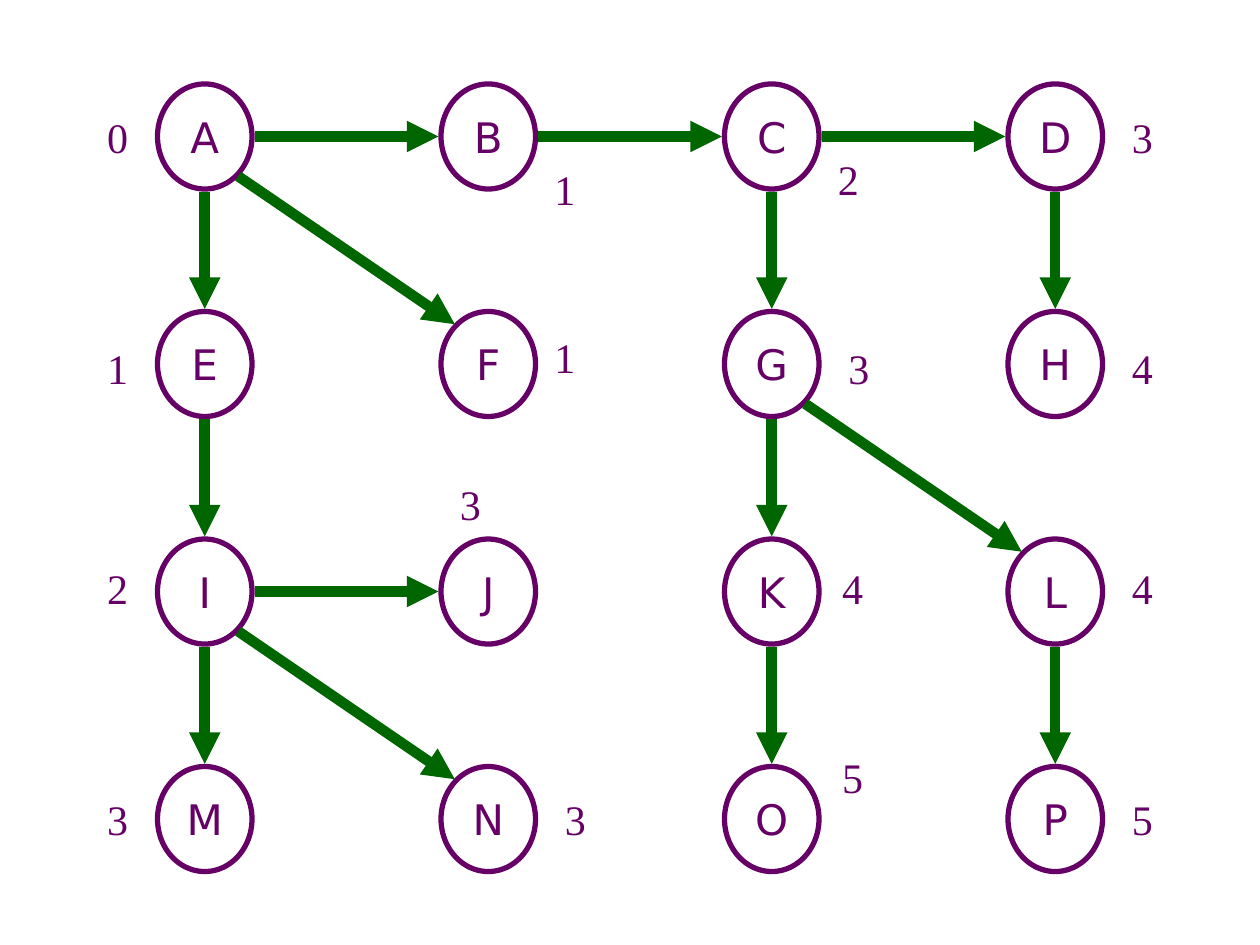
from dataclasses import dataclass
from math import sqrt

from lxml.etree import SubElement
from pptx import Presentation
from pptx.dml.color import RGBColor
from pptx.enum.shapes import MSO_CONNECTOR as CONNECTOR, MSO_SHAPE as SHAPE
from pptx.enum.text import MSO_ANCHOR as ANCHOR, MSO_AUTO_SIZE as AUTO_SIZE, PP_ALIGN as ALIGN
from pptx.oxml.ns import qn
from pptx.util import Pt


@dataclass(frozen=True)
class Theme:
    purple: RGBColor = RGBColor(0x66, 0x00, 0x66)
    green: RGBColor = RGBColor(0x00, 0x66, 0x00)
    node_font: str = "DejaVu Sans"
    level_font: str = "Times New Roman"
    size: int = 24
    outline: int = 3
    arrow: int = 6


theme = Theme()


def write(frame, text, font_name):
    frame.word_wrap = False
    paragraph = frame.paragraphs[0]
    paragraph.alignment = ALIGN.CENTER
    run = paragraph.add_run()
    run.text = text
    run.font.name = font_name
    run.font.size = Pt(theme.size)
    run.font.color.rgb = theme.purple


prs = Presentation()
prs.slide_width, prs.slide_height = Pt(720), Pt(540)
slide = prs.slides.add_slide(prs.slide_layouts[6])
shapes = slide.shapes

# Nodes on a four by four grid
LEFT, TOP = 90, 48
COLUMN_STEP, ROW_STEP = 162, 130
NODE_W, NODE_H = 54, 60
centers = {}
for index, letter in enumerate("ABCDEFGHIJKLMNOP"):
    row, column = divmod(index, 4)
    x, y = LEFT + column * COLUMN_STEP, TOP + row * ROW_STEP
    centers[letter] = (x + NODE_W / 2, y + NODE_H / 2)
    node = shapes.add_shape(SHAPE.OVAL, Pt(x), Pt(y), Pt(NODE_W), Pt(NODE_H))
    node.shadow.inherit = False
    node.fill.background()
    node.line.color.rgb = theme.purple
    node.line.width = Pt(theme.outline)
    node.text_frame.vertical_anchor = ANCHOR.MIDDLE
    write(node.text_frame, letter, theme.node_font)

# Arrows of the search tree, stopping just outside each outline
GAP = theme.outline / 2
STRAIGHT = (NODE_W / 2 + GAP, NODE_H / 2 + GAP)
DIAGONAL = (NODE_W / 2 / sqrt(2), NODE_H / 2 / sqrt(2) + GAP)
for start, end in "AF CD IJ BC AB GL IN IM EI AE DH GK KO CG LP".split():
    (x1, y1), (x2, y2) = centers[start], centers[end]
    right, down = x2 > x1, y2 > y1
    reach_x, reach_y = DIAGONAL if right and down else STRAIGHT
    dx, dy = right * reach_x, down * reach_y
    arrow = shapes.add_connector(
        CONNECTOR.STRAIGHT, Pt(x1 + dx), Pt(y1 + dy), Pt(x2 - dx), Pt(y2 - dy))
    arrow.line.color.rgb = theme.green
    arrow.line.width = Pt(theme.arrow)
    SubElement(arrow.line._get_or_add_ln(), qn("a:tailEnd"), type="triangle")
    SubElement(arrow._element.spPr, qn("a:effectLst"))

# Level numbers: node, level, left and top of the box
levels = [
    ("A", 0, 54, 60), ("E", 1, 54, 192), ("F", 1, 309.6, 186), ("B", 1, 309.6, 90),
    ("I", 2, 54, 318), ("C", 2, 471.6, 84), ("M", 3, 54, 450), ("N", 3, 315.6, 450),
    ("J", 3, 255.6, 270), ("G", 3, 477.6, 192), ("D", 3, 639.6, 60), ("K", 4, 474, 318),
    ("L", 4, 639.6, 318), ("H", 4, 639.6, 192), ("O", 5, 474, 426), ("P", 5, 639.6, 450),
]
for letter, level, x, y in levels:
    number = shapes.add_textbox(Pt(x), Pt(y), Pt(26.4), Pt(36))
    number.text_frame.auto_size = AUTO_SIZE.SHAPE_TO_FIT_TEXT
    write(number.text_frame, str(level), theme.level_font)

prs.save("out.pptx")
